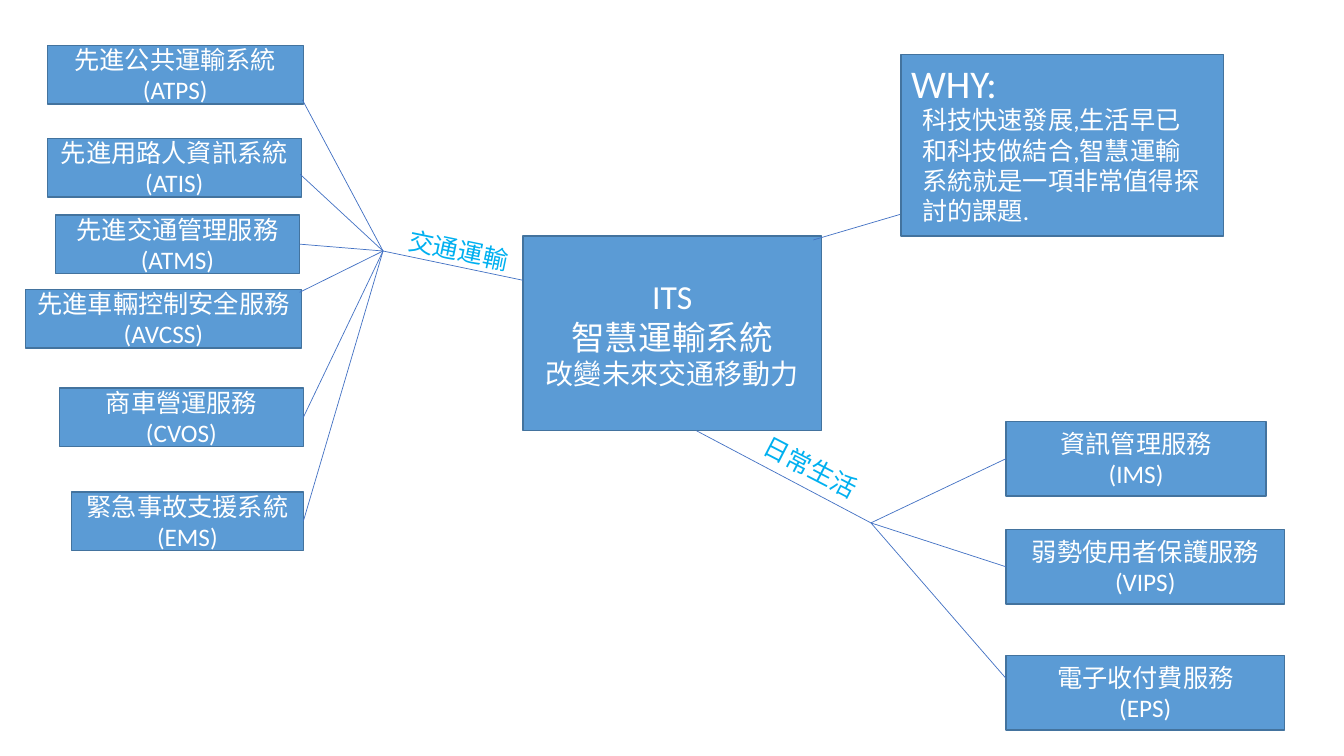
from dataclasses import dataclass

from pptx import Presentation
from pptx.dml.color import RGBColor as RGB
from pptx.enum.shapes import MSO_CONNECTOR as Conn, MSO_SHAPE as Geo
from pptx.enum.text import MSO_ANCHOR as Anchor, MSO_AUTO_SIZE as Auto, PP_ALIGN as Align
from pptx.oxml.ns import qn
from pptx.util import Pt


@dataclass(frozen=True)
class Theme:
    fill: RGB = RGB(0x5B, 0x9B, 0xD5)
    edge: RGB = RGB(0x43, 0x73, 0x9E)
    wire: RGB = RGB(0x44, 0x72, 0xC4)
    text: RGB = RGB(0xFF, 0xFF, 0xFF)
    label: RGB = RGB(0x00, 0xB0, 0xF0)
    font: str = "Calibri"
    cjk: str = "Noto Sans CJK SC"
    body: int = 18
    sub: int = 20
    main: int = 24
    head: int = 28


class Map:
    """Draws the boxes, labels and lines of a mind map on one slide."""

    def __init__(self, slide, theme):
        self.shapes, self.theme = slide.shapes, theme

    def fill(self, frame, lines, align, **style):
        """Fill a frame with (text, size) lines."""
        for i, (text, size) in enumerate(lines):
            para = frame.add_paragraph() if i else frame.paragraphs[0]
            para.alignment = align
            run = para.add_run()
            run.text = text
            look = {"name": self.theme.font, "size": Pt(size)} | style
            color = look.pop("color", self.theme.text)
            for key, value in look.items():
                setattr(run.font, key, value)
            run.font.color.rgb = color

    def box(self, x, y, w, h, lines=()):
        box = self.shapes.add_shape(Geo.RECTANGLE, Pt(x), Pt(y), Pt(w), Pt(h))
        box.shadow.inherit = False
        box.fill.solid()
        box.fill.fore_color.rgb = self.theme.fill
        box.line.color.rgb = self.theme.edge
        box.line.width = Pt(1)
        frame = box.text_frame
        for key, value in {"word_wrap": True, "vertical_anchor": Anchor.MIDDLE}.items():
            setattr(frame, key, value)
        self.fill(frame, lines, Align.CENTER)
        return box

    def note(self, x, y, w, h, text, size, turn=0, **style):
        note = self.shapes.add_textbox(Pt(x), Pt(y), Pt(w), Pt(h))
        note.rotation = turn
        frame = note.text_frame
        for key, value in {"word_wrap": True, "auto_size": Auto.SHAPE_TO_FIT_TEXT}.items():
            setattr(frame, key, value)
        self.fill(frame, [(text, size)], Align.LEFT, **style)

    def wire(self, start, end, box=None, side=None):
        """Draw a line, joined to a side of a box if one is given."""
        line = self.shapes.add_connector(Conn.STRAIGHT, *map(Pt, start + end))
        line.line.color.rgb = self.theme.wire
        line.line.width = Pt(0.5)
        props = line._element.spPr
        props.append(props.makeelement(qn("a:effectLst"), {}))
        if box is not None:
            line.end_connect(box, side)

    def branch(self, hub, side, height, nodes):
        """Draw boxes tied to a hub; a node without an end joins mid-side."""
        for x, y, w, lines, end in nodes:
            box = self.box(x, y, w, height, [(text, self.theme.body) for text in lines])
            if end:
                self.wire(hub, end)
            else:
                self.wire(hub, hub, box, side)


LEFT, RIGHT = 1, 3
TRAFFIC = (273.6, 179.3)
DAILY = (622.1, 373.5)

# left, top, width, lines, free end of the line
SYSTEMS = [
    (33.8, 32.4, 182.9, ["先進公共運輸系統(ATPS)"], (216, 71.3)),
    (33.8, 98.9, 181.4, ["先進用路人資訊系統", "(ATIS)"], (214.5, 124.6)),
    (39.6, 153.5, 174.4, ["先進交通管理服務", "(ATMS)"], None),
    (18, 206.8, 197.5, ["先進車輛控制安全服務", "(AVCSS)"], (214, 208.8)),
    (42.5, 277.2, 174.2, ["商車營運服務", "(CVOS)"], None),
    (51.1, 351.4, 165.6, ["緊急事故支援系統", "(EMS)"], None),
]
SERVICES = [
    (718.6, 301, 185.8, ["資訊管理服務", "(IMS)"], None),
    (718.6, 378.2, 198.9, ["弱勢使用者保護服務(VIPS)"], None),
    (718.6, 468.2, 198.9, ["電子收付費服務", "(EPS)"], (718.6, 484.6)),
]


def main():
    deck = Presentation()
    deck.slide_width, deck.slide_height = Pt(960), Pt(540)
    theme = Theme()
    mind = Map(deck.slides.add_slide(deck.slide_layouts[6]), theme)

    mind.box(373.5, 168.5, 213.3, 139.2, [
        ("ITS", theme.main),
        ("智慧運輸系統", theme.main),
        ("改變未來交通移動力", theme.sub),
    ])

    mind.wire((581, 171.4), (686.2, 140.4))
    mind.box(643.7, 38.9, 230.4, 129.8)
    mind.note(643.7, 38.9, 88.6, 41, "WHY:", theme.head)
    mind.note(651.6, 71.3, 215.3, 94.3,
              "科技快速發展,生活早已和科技做結合,智慧運輸系統就是一項非常值得探討的課題.",
              theme.body)

    mind.wire((373.5, 200.2), TRAFFIC)
    mind.note(284.4, 164.9, 92.2, 28.8, "交通運輸", theme.body, 11.7,
              name=theme.cjk, color=theme.label)
    mind.branch(TRAFFIC, RIGHT, 41.8, SYSTEMS)

    mind.wire((497.5, 307.7), DAILY)
    mind.note(534.2, 326.2, 116.6, 28.8, "日常生活", theme.body, 27.4, color=theme.label)
    mind.branch(DAILY, LEFT, 53.3, SERVICES)

    deck.save("out.pptx")


if __name__ == "__main__":
    main()
